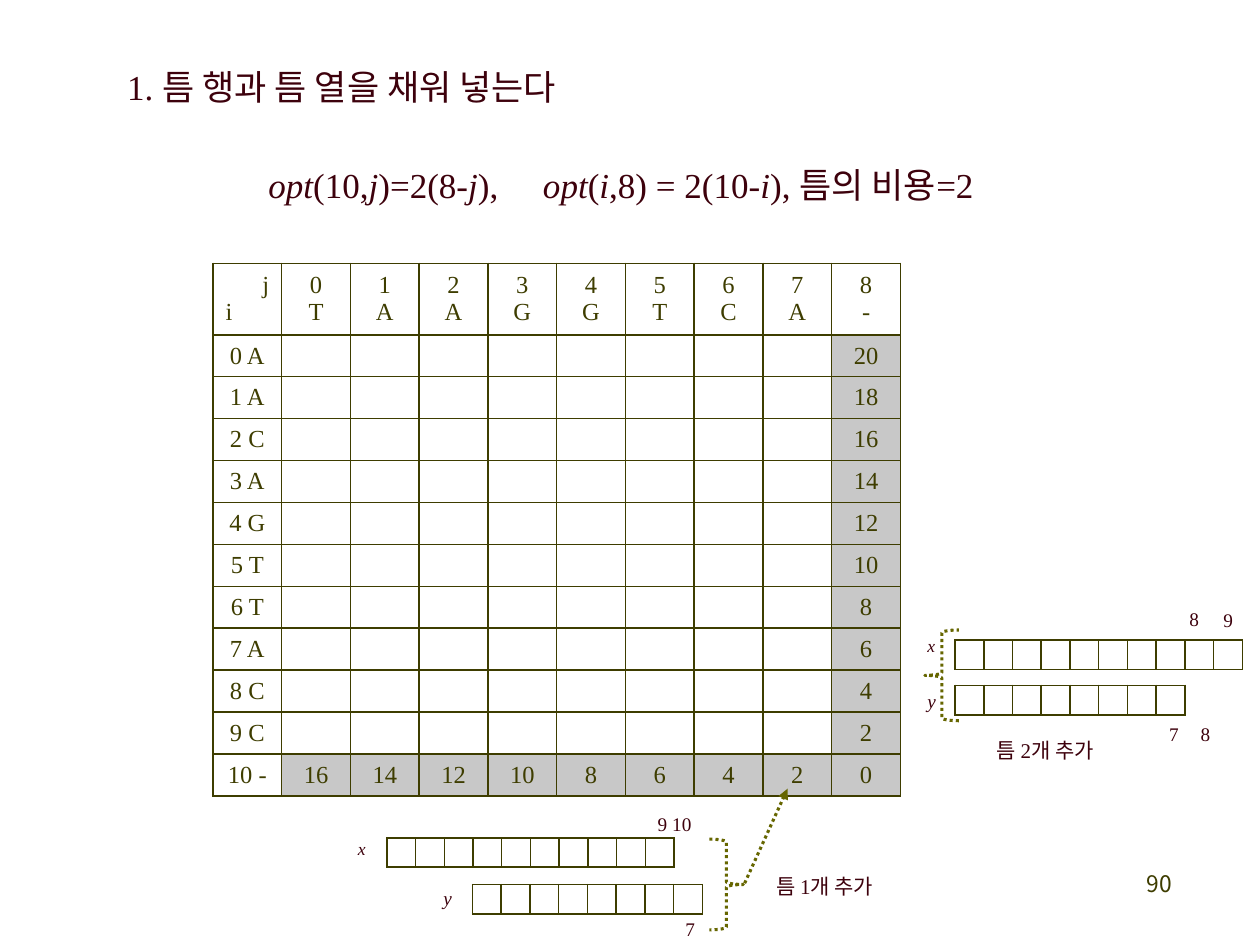
from dataclasses import dataclass
from typing import Optional

from lxml.etree import SubElement
from pptx import Presentation
from pptx.dml.color import RGBColor
from pptx.enum.dml import MSO_LINE
from pptx.enum.shapes import MSO_CONNECTOR, MSO_SHAPE
from pptx.enum.text import MSO_ANCHOR, PP_ALIGN
from pptx.oxml.ns import qn
from pptx.util import Emu, Inches, Pt

INK = RGBColor(0x3E, 0x3D, 0x00)
MAROON = RGBColor(0x3D, 0x01, 0x0C)
OLIVE = RGBColor(0x66, 0x66, 0x00)
GREY = RGBColor(0xC8, 0xC8, 0xC8)
LATIN = "Times New Roman"
KOREAN = "Noto Sans CJK KR"

# The page is a grid of 100 columns by 75 rows of square steps.
COLUMNS, ROWS = 100, 75
STEP = Inches(0.1)


@dataclass(frozen=True)
class Span:
    text: str
    font: Optional[str] = None
    italic: Optional[bool] = None


@dataclass(frozen=True)
class Label:
    column: float
    row: float
    width: float
    height: float
    spans: tuple[Span, ...]
    size: float
    font: str = LATIN
    italic: bool = False
    color: RGBColor = MAROON
    tab: Optional[float] = None


@dataclass(frozen=True)
class Strip:
    """A row of empty cells standing for one sequence."""
    column: float
    row: float
    cells: int


@dataclass(frozen=True)
class Brace:
    kind: MSO_SHAPE
    column: float
    row: float


def steps(count: float) -> Emu:
    return Emu(round(count * STEP))


def style_font(font, size: float, name: str, color: RGBColor, italic: bool = False) -> None:
    font.size = Pt(size)
    font.name = name
    font.italic = italic
    font.color.rgb = color


def add_spans(para, spans: tuple[Span, ...]) -> None:
    for span in spans:
        run = para.add_run()
        run.text = span.text
        if span.font:
            run.font.name = span.font
            if span.font == KOREAN:
                SubElement(run.font._element, qn("a:ea"), typeface=KOREAN)
        if span.italic is not None:
            run.font.italic = span.italic


def add_label(page, label: Label):
    box = page.shapes.add_textbox(steps(label.column), steps(label.row),
                                  steps(label.width), steps(label.height))
    frame = box.text_frame
    frame.word_wrap = True
    frame.margin_left = frame.margin_right = frame.margin_bottom = 0
    frame.margin_top = steps(0.2)
    para = frame.paragraphs[0]
    if label.tab:
        tabs = SubElement(para._p.get_or_add_pPr(), qn("a:tabLst"))
        SubElement(tabs, qn("a:tab"), pos=str(steps(label.tab)), algn="l")
    style_font(para.font, label.size, label.font, label.color, label.italic)
    add_spans(para, label.spans)
    return frame


def style_cell(cell, fill: Optional[RGBColor] = None) -> None:
    cell.margin_left = cell.margin_right = cell.margin_top = cell.margin_bottom = 0
    cell.vertical_anchor = MSO_ANCHOR.MIDDLE
    properties = cell._tc.get_or_add_tcPr()
    for side in ("lnL", "lnR", "lnT", "lnB"):
        line = SubElement(properties, qn(f"a:{side}"), w=str(Pt(1)))
        solid = SubElement(line, qn("a:solidFill"))
        SubElement(solid, qn("a:srgbClr"), val=str(INK))
    if fill is None:
        cell.fill.background()
    else:
        cell.fill.solid()
        cell.fill.fore_color.rgb = fill


def write_cell(cell, text: str) -> None:
    cell.text = text
    for para in cell.text_frame.paragraphs:
        para.alignment = PP_ALIGN.CENTER
        style_font(para.font, 14, LATIN, INK)
        if not text:
            para._p.get_or_add_endParaRPr().set("sz", "800")


def add_grid(page, column: float, row: float, cell_width: float,
             heights: list[float], columns: int):
    table = page.shapes.add_table(len(heights), columns, steps(column), steps(row),
                                  steps(cell_width * columns), steps(sum(heights))).table
    table.first_row = table.horz_banding = False
    for grid_column in table.columns:
        grid_column.width = steps(cell_width)
    for grid_row, height in zip(table.rows, heights):
        grid_row.height = steps(height)
    return table


def add_cost_table(page, across: str, down: str, gap_cost: int = 2) -> None:
    """Fill the gap row and the gap column; both sequences end with a gap."""
    last_column, last_row = len(across) - 1, len(down) - 1
    table = add_grid(page, 16.9, 20.9, 5.46, [5.67] + [3.33] * len(down), len(across) + 1)
    corner = table.cell(0, 0)
    style_cell(corner)
    write_cell(corner, "j\ni")
    corner.margin_left = corner.margin_right = steps(1)
    for para, side in zip(corner.text_frame.paragraphs, (PP_ALIGN.RIGHT, PP_ALIGN.LEFT)):
        para.alignment = side
    headings = [(0, j + 1, f"{j}\n{letter}") for j, letter in enumerate(across)]
    headings += [(i + 1, 0, f"{i} {letter}") for i, letter in enumerate(down)]
    for row, column, text in headings:
        style_cell(table.cell(row, column))
        write_cell(table.cell(row, column), text)
    for i in range(len(down)):
        for j in range(len(across)):
            is_gap = i == last_row or j == last_column
            cost = gap_cost * (last_row - i + last_column - j)
            cell = table.cell(i + 1, j + 1)
            style_cell(cell, GREY if is_gap else None)
            write_cell(cell, str(cost) if is_gap else "")


def add_strip(page, strip: Strip) -> None:
    table = add_grid(page, strip.column, strip.row, 2.28, [2.33], strip.cells)
    for cell in table.iter_cells():
        style_cell(cell)
        write_cell(cell, "")


def dot_line(line) -> None:
    line.color.rgb = OLIVE
    line.width = Pt(1.75)
    line.dash_style = MSO_LINE.ROUND_DOT


def add_brace(page, brace: Brace) -> None:
    shape = page.shapes.add_shape(brace.kind, steps(brace.column), steps(brace.row),
                                  steps(2.7), steps(7.2))
    shape.shadow.inherit = False
    shape.fill.background()
    dot_line(shape.line)


def add_arrow(page, start: tuple[float, float], end: tuple[float, float]) -> None:
    arrow = page.shapes.add_connector(MSO_CONNECTOR.STRAIGHT, *map(steps, start + end))
    dot_line(arrow.line)
    SubElement(arrow.line._get_or_add_ln(), qn("a:tailEnd"), type="triangle")
    SubElement(arrow._element.spPr, qn("a:effectLst"))


def gap_note(column: float, row: float, count: int) -> Label:
    spans = (Span("틈 ", KOREAN), Span(str(count)), Span("개 추가", KOREAN))
    return Label(column, row, 10, 2.3, spans, 12)


def mark(column: float, row: float, text: str, size: float = 11,
         italic: bool = False, tab: Optional[float] = None) -> Label:
    return Label(column, row, 4, 2.1, (Span(text),), size, italic=italic, tab=tab)


FORMULA = (
    Span("opt", italic=True), Span("(10,"), Span("j", italic=True), Span(")=2(8-"),
    Span("j", italic=True), Span("),\t"), Span("opt", italic=True), Span("("),
    Span("i", italic=True), Span(",8) = 2(10-"), Span("i", italic=True), Span("), "),
    Span("틈의 비용", KOREAN), Span("=2"),
)
LABELS = [
    Label(10.1, 5, 80.3, 4, (Span("1. "), Span("틈 행과 틈 열을 채워 넣는다", KOREAN)), 20),
    Label(21.3, 12.8, 56, 7, FORMULA, 20, tab=21.8),
    Label(91, 68.8, 4, 2.4, (Span("90"),), 13, KOREAN, color=INK),
    mark(52.2, 64.3, "9 10"), mark(54.4, 72.6, "7"),
    mark(92.8, 57.1, "7\t8", tab=2.5),
    mark(94.4, 48, "8"), mark(97.1, 48.1, "9"),
    mark(28.4, 66.3, "x", 10, True), mark(35.2, 70.1, "y", 11, True),
    gap_note(61.6, 69.1, 1), gap_note(79.1, 58.3, 2),
]
STRIPS = [Strip(30.7, 66.5, 10), Strip(37.5, 70.2, 8),
          Strip(75.8, 50.8, 10), Strip(75.8, 54.4, 8)]
BRACES = [Brace(MSO_SHAPE.RIGHT_BRACE, 56.3, 66.6), Brace(MSO_SHAPE.LEFT_BRACE, 73.4, 50)]


def main() -> None:
    deck = Presentation()
    deck.slide_width, deck.slide_height = steps(COLUMNS), steps(ROWS)
    page = deck.slides.add_slide(deck.slide_layouts[6])
    add_cost_table(page, "TAAGGTCA-", "AACAGTTACC-")
    for strip in STRIPS:
        add_strip(page, strip)
    for brace in BRACES:
        add_brace(page, brace)
    add_arrow(page, (59.1, 70.1), (62.5, 62.6))
    for label in LABELS:
        add_label(page, label)
    names = add_label(page, Label(73.6, 50.2, 1.5, 6.3, (Span("x"),), 10, italic=True))
    second = names.add_paragraph()
    second.space_before = Pt(19)
    style_font(second.font, 11, LATIN, MAROON, italic=True)
    add_spans(second, (Span("y"),))
    deck.save("out.pptx")


if __name__ == "__main__":
    main()
